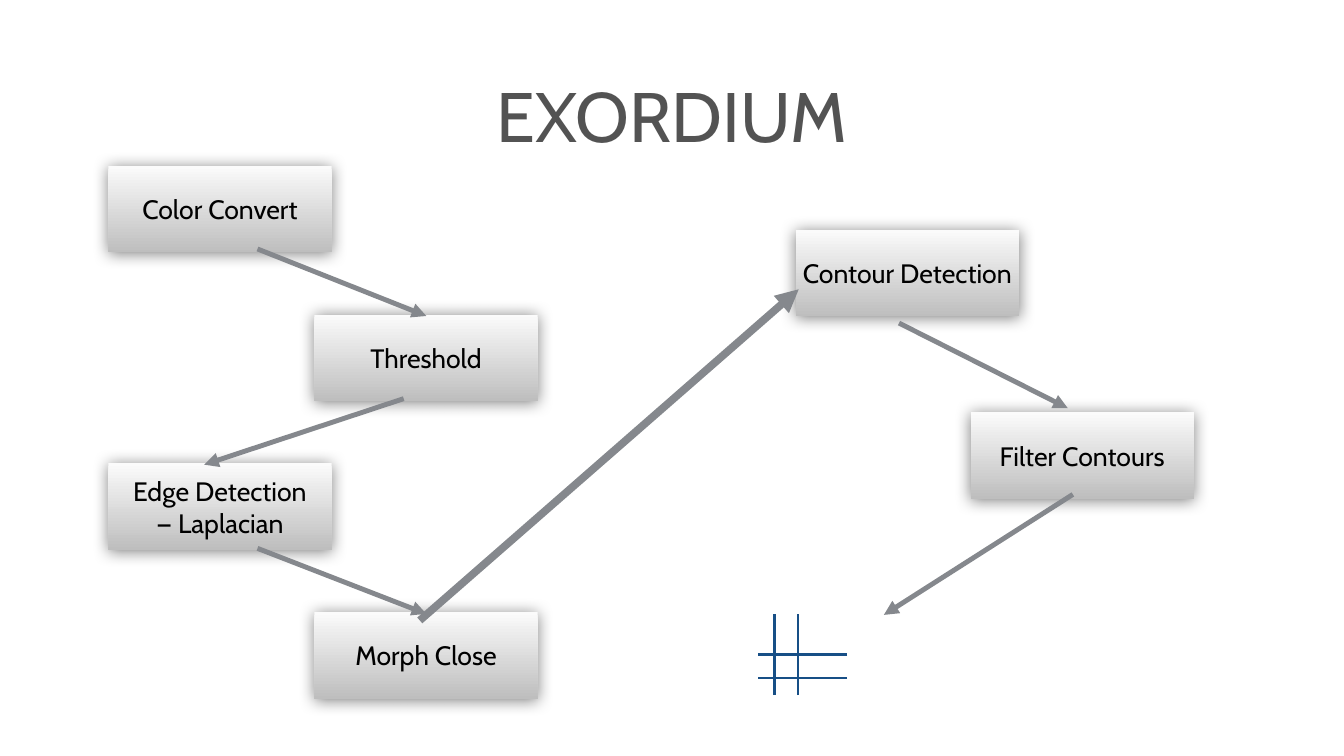
from dataclasses import dataclass

from lxml import etree
from pptx import Presentation
from pptx import util as u
from pptx.dml.color import RGBColor
from pptx.enum import shapes, text
from pptx.oxml.ns import qn

PX = u.Inches(1) // 100  # one px is a hundredth of an inch
FONT = "Cabin"
WHITE = RGBColor(0xFF, 0xFF, 0xFF)
BLACK = RGBColor(0x00, 0x00, 0x00)
TITLE_GREY = RGBColor(0x53, 0x53, 0x53)
BOX_TOP = RGBColor(0xFB, 0xFB, 0xFB)
BOX_BOTTOM = RGBColor(0xBE, 0xBE, 0xBE)
ARROW_GREY = RGBColor(0x85, 0x88, 0x8D)
GRID_BLUE = RGBColor(0x17, 0x4F, 0x86)
STEP_WIDTH, STEP_HEIGHT = 443, 172


@dataclass(frozen=True)
class Step:
    left: int
    top: int
    lines: tuple[str, ...]


@dataclass(frozen=True)
class Stroke:
    start: tuple[int, int]
    end: tuple[int, int]
    weight: int
    color: RGBColor = ARROW_GREY
    arrow: bool = True


# The left-hand steps zigzag between two columns at an even pitch
LEFT_COLUMNS = (215, 624)
LEFT_TOP, LEFT_PITCH = 329, 295
LEFT_LINES = (
    ("Color Convert",),
    ("Threshold",),
    ("Edge Detection", "— Laplacian"),
    ("Morph Close",),
)
STEPS = [
    Step(LEFT_COLUMNS[i % 2], LEFT_TOP + i * LEFT_PITCH, lines)
    for i, lines in enumerate(LEFT_LINES)
] + [
    Step(1579, 456, ("Contour Detection",)),
    Step(1926, 818, ("Filter Contours",)),
]

ARROWS = [
    Stroke((833, 1231), (1585, 574), 11),
    Stroke((801, 791), (405, 922), 7),
    Stroke((511, 1088), (846, 1218), 7),
    Stroke((1784, 641), (2119, 810), 7),
    Stroke((511, 494), (846, 627), 7),
    Stroke((2129, 981), (1754, 1220), 7),
]

# The crossing lines below the last arrow
GRID = [
    Stroke((x, 1379), (x, 1218), weight, GRID_BLUE, False)
    for x, weight in ((1584, 3), (1537, 5))
] + [
    Stroke((1681, y), (1504, y), weight, GRID_BLUE, False)
    for y, weight in ((1345, 3), (1299, 5))
]


def write(shape, lines: tuple[str, ...], size: int, color: RGBColor, inset: int) -> None:
    frame = shape.text_frame
    frame.word_wrap = True
    frame.vertical_anchor = text.MSO_ANCHOR.MIDDLE
    frame.margin_left = frame.margin_right = inset * PX
    frame.margin_top = frame.margin_bottom = inset * PX
    for i, line in enumerate(lines):
        paragraph = frame.add_paragraph() if i else frame.paragraphs[0]
        paragraph.alignment = text.PP_ALIGN.CENTER
        run = paragraph.add_run()
        run.text = line
        run.font.name = FONT
        run.font.size = u.Pt(size)
        run.font.color.rgb = color


def add_shadow(shape) -> None:
    shape.shadow.inherit = False
    effects = shape._element.spPr.find(qn("a:effectLst"))
    shadow = etree.SubElement(
        effects, qn("a:outerShdw"), blurRad=str(u.Pt(23)), dist=str(u.Pt(2)),
        dir="5400000", rotWithShape="0")
    shade = etree.SubElement(shadow, qn("a:srgbClr"), val=str(BLACK))
    etree.SubElement(shade, qn("a:alpha"), val="50000")


def draw_step(slide, step: Step) -> None:
    box = slide.shapes.add_shape(
        shapes.MSO_SHAPE.RECTANGLE, step.left * PX, step.top * PX,
        STEP_WIDTH * PX, STEP_HEIGHT * PX)
    box.fill.gradient()
    box.fill.gradient_angle = 270  # light at the top, dark at the bottom
    for stop, position, color in zip(
            box.fill.gradient_stops, (0, 1), (BOX_TOP, BOX_BOTTOM)):
        stop.position = position
        stop.color.rgb = color
    box.line.fill.background()
    add_shadow(box)
    write(box, step.lines, 38, BLACK, 8)


def draw_stroke(slide, stroke: Stroke) -> None:
    connector = slide.shapes.add_connector(
        shapes.MSO_CONNECTOR.STRAIGHT,
        *(value * PX for value in stroke.start + stroke.end))
    connector.line.color.rgb = stroke.color
    connector.line.width = u.Pt(stroke.weight)
    if stroke.arrow:
        etree.SubElement(connector.line._get_or_add_ln(), qn("a:tailEnd"), type="triangle")
    etree.SubElement(connector._element.spPr, qn("a:effectLst"))


def main() -> None:
    deck = Presentation()
    deck.slide_width, deck.slide_height = 2667 * PX, 1500 * PX
    slide = deck.slides.add_slide(deck.slide_layouts[6])
    slide.background.fill.solid()
    slide.background.fill.fore_color.rgb = WHITE

    # Title
    title = slide.shapes.add_textbox(73 * PX, 39 * PX, 2521 * PX, 375 * PX)
    write(title, ("EXORDIUM",), 100, TITLE_GREY, 6)

    # Processing steps, then the lines over them
    for step in STEPS:
        draw_step(slide, step)
    for stroke in ARROWS + GRID:
        draw_stroke(slide, stroke)

    deck.save("out.pptx")


if __name__ == "__main__":
    main()
